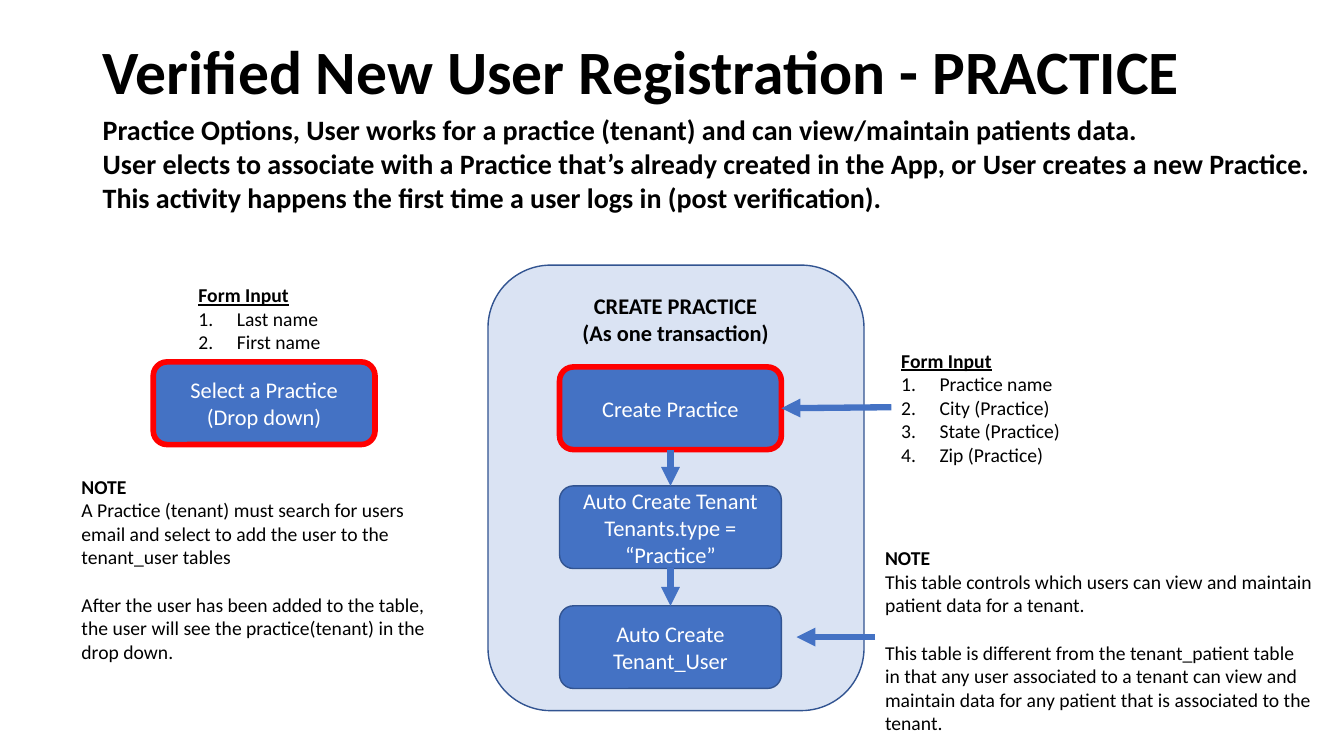
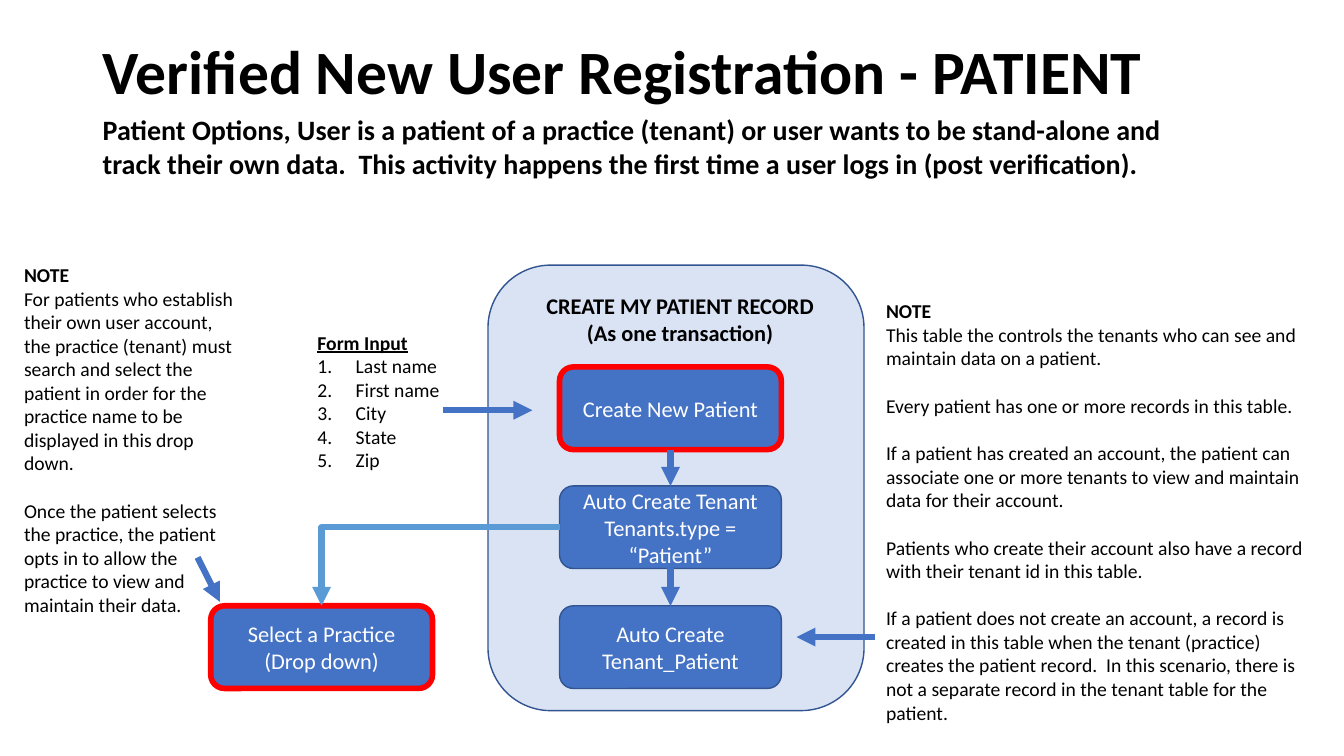
from dataclasses import dataclass

from pptx import Presentation
from pptx.dml.color import RGBColor
from pptx.enum.shapes import MSO_CONNECTOR, MSO_SHAPE
from pptx.enum.text import MSO_ANCHOR, PP_ALIGN
from pptx.oxml.ns import qn
from pptx.util import Emu, Pt
from lxml.etree import SubElement

EMU_PER_PX = 9144
TOP, LEFT, BOTTOM, RIGHT = range(4)
BOX_WIDTH, BOX_HEIGHT = 220, 82
STEP_LEFT, STEP_TOPS = 555, (364, 482, 601)
LIST_INDENT = 38


@dataclass(frozen=True)
class Theme:
    font: str = "Calibri"
    text: RGBColor = RGBColor(0x00, 0x00, 0x00)
    box_text: RGBColor = RGBColor(0xFF, 0xFF, 0xFF)
    box: RGBColor = RGBColor(0x44, 0x72, 0xC4)
    box_line: RGBColor = RGBColor(0x32, 0x54, 0x91)
    highlight: RGBColor = RGBColor(0xFF, 0x00, 0x00)
    panel: RGBColor = RGBColor(0xDA, 0xE3, 0xF3)
    branch: RGBColor = RGBColor(0x5B, 0x9B, 0xD5)
    title_size: int = 44
    subtitle_size: int = 20
    box_size: int = 16
    note_size: int = 14
    note_gap: int = 17
    thin: float = 1
    thick: float = 4
    arrow: float = 4.5


THEME = Theme()


def px(length):
    return Emu(length * EMU_PER_PX)


def write_paragraph(shape, text, size=THEME.note_size, color=THEME.text, bold=False,
                    underline=False, align=PP_ALIGN.LEFT, space_before=0,
                    line_spacing=None, numbered=False):
    """Fill the first paragraph of the shape if it is empty, else add one."""
    frame = shape.text_frame
    paragraph = frame.add_paragraph() if frame.text else frame.paragraphs[0]
    paragraph.alignment = align
    paragraph.space_before = Pt(space_before)
    if line_spacing:
        paragraph.line_spacing = line_spacing
    if numbered:
        properties = paragraph._p.get_or_add_pPr()
        properties.set("marL", str(px(LIST_INDENT)))
        properties.set("indent", str(-px(LIST_INDENT)))
        SubElement(properties, qn("a:buAutoNum"), type="arabicPeriod")
    run = paragraph.add_run()
    run.text = text
    font = run.font
    font.name, font.size, font.bold = THEME.font, Pt(size), bold
    font.underline = underline
    font.color.rgb = color


def add_text_box(slide, left, top, width, height, lines=(), **text_format):
    shape = slide.shapes.add_textbox(px(left), px(top), px(width), px(height))
    shape.text_frame.word_wrap = True
    for line in lines:
        write_paragraph(shape, line, **text_format)
    return shape


def add_heading(slide, title, subtitle_lines, subtitle_width):
    title_box = add_text_box(slide, 92, 1, 1150, 145, [title], size=THEME.title_size,
                             bold=True, line_spacing=0.9)
    title_box.text_frame.vertical_anchor = MSO_ANCHOR.MIDDLE
    add_text_box(slide, 92, 107, subtitle_width, 111, subtitle_lines,
                 size=THEME.subtitle_size, bold=True)


def add_rounded_box(slide, left, top, width, height, fill, line, line_width):
    shape = slide.shapes.add_shape(MSO_SHAPE.ROUNDED_RECTANGLE,
                                   px(left), px(top), px(width), px(height))
    shape.shadow.inherit = False
    shape.fill.solid()
    shape.fill.fore_color.rgb = fill
    shape.line.color.rgb = line
    shape.line.width = Pt(line_width)
    return shape


def add_step(slide, left, top, lines, user_action=False):
    """Add a blue box; a red outline marks what the user does."""
    line = THEME.highlight if user_action else THEME.box_line
    line_width = THEME.thick if user_action else THEME.thin
    box = add_rounded_box(slide, left, top, BOX_WIDTH, BOX_HEIGHT, THEME.box, line, line_width)
    box.text_frame.word_wrap = True
    box.text_frame.vertical_anchor = MSO_ANCHOR.MIDDLE
    for text in lines:
        write_paragraph(box, text, size=THEME.box_size, color=THEME.box_text,
                        align=PP_ALIGN.CENTER)
    return box


def add_arrow(slide, start=(0, 0), end=(0, 0), begin_at=None, end_at=None,
              elbow=False, color=THEME.box):
    """Draw between points, or between (shape, side) pairs where these are given."""
    kind = MSO_CONNECTOR.ELBOW if elbow else MSO_CONNECTOR.STRAIGHT
    connector = slide.shapes.add_connector(kind, *map(px, (*start, *end)))
    if begin_at:
        connector.begin_connect(*begin_at)
    if end_at:
        connector.end_connect(*end_at)
    connector.line.color.rgb = color
    connector.line.width = Pt(THEME.arrow)
    properties = connector._element.spPr
    if elbow:
        properties.find(qn("a:prstGeom")).set("prst", "bentConnector2")
    SubElement(connector.line._get_or_add_ln(), qn("a:tailEnd"), type="triangle")
    SubElement(properties, qn("a:effectLst"))


def add_form_input(slide, left, top, fields):
    height = 34 + 23 * len(fields)
    form = add_text_box(slide, left, top, 185, height, ["Form Input"], bold=True, underline=True)
    for field in fields:
        write_paragraph(form, field, numbered=True)
    return form


def add_note(slide, left, top, width, height, paragraphs):
    note = add_text_box(slide, left, top, width, height, ["NOTE"], bold=True)
    for index, text in enumerate(paragraphs):
        write_paragraph(note, text, space_before=THEME.note_gap if index else 0)


def add_transaction(slide, heading, heading_left, heading_width, steps):
    """Add the panel with its chain of steps and return the step boxes."""
    add_rounded_box(slide, 484, 263, 373, 442, THEME.panel, THEME.box_line, THEME.thin)
    add_text_box(slide, heading_left, 285, heading_width, 64,
                 [heading, "(As one transaction)"], size=THEME.box_size, bold=True,
                 align=PP_ALIGN.CENTER)
    boxes = [add_step(slide, STEP_LEFT, top, lines, user_action=top == STEP_TOPS[0])
             for top, lines in zip(STEP_TOPS, steps)]
    for upper, lower in zip(boxes, boxes[1:]):
        add_arrow(slide, begin_at=(upper, BOTTOM), end_at=(lower, TOP))
    add_arrow(slide, (868, 632), (790, 632))
    return boxes


def add_practice_selection(slide, left, top):
    return add_step(slide, left, top, ["Select a Practice", "(Drop down)"], user_action=True)


def build_practice_slide(slide):
    add_heading(slide, "Verified New User Registration - PRACTICE", [
        "Practice Options, User works for a practice (tenant) and can view/maintain patients data.",
        "User elects to associate with a Practice that’s already created in the App, "
        "or User creates a new Practice.",
        "This activity happens the first time a user logs in (post verification).",
    ], 1221)
    add_practice_selection(slide, 152, 359)
    add_form_input(slide, 187, 276, ["Last name", "First name"])
    create, _, _ = add_transaction(slide, "CREATE PRACTICE", 529, 282, [
        ["Create Practice"],
        ["Auto Create Tenant", "Tenants.type = “Practice”"],
        ["Auto Create Tenant_User"],
    ])
    form = add_form_input(slide, 884, 341, [
        "Practice name", "City (Practice)", "State (Practice)", "Zip (Practice)"])
    add_arrow(slide, begin_at=(form, LEFT), end_at=(create, RIGHT))
    add_note(slide, 71, 466, 373, 199, [
        "A Practice (tenant) must search for users email and select to add the user "
        "to the tenant_user tables",
        "After the user has been added to the table, the user will see the "
        "practice(tenant) in the drop down.",
    ])
    add_note(slide, 868, 537, 444, 199, [
        "This table controls which users can view and maintain patient data for a tenant.",
        "This table is different from the tenant_patient table in that any user associated "
        "to a tenant can view and maintain data for any patient that is associated to the tenant.",
    ])


def build_patient_slide(slide):
    add_heading(slide, "Verified New User Registration - PATIENT", [
        "Patient Options, User is a patient of a practice (tenant) or user wants to be "
        "stand-alone and track their own data.  This activity happens the first time "
        "a user logs in (post verification).",
    ], 1114)
    selection = add_practice_selection(slide, 209, 601)
    add_form_input(slide, 305, 323, ["Last name", "First name", "City", "State", "Zip"])
    _, tenant, _ = add_transaction(slide, "CREATE MY PATIENT RECORD", 519, 311, [
        ["Create New Patient"],
        ["Auto Create Tenant", "Tenants.type = “Patient”"],
        ["Auto Create Tenant_Patient"],
    ])
    add_arrow(slide, (439, 407), (528, 407))
    add_note(slide, 14, 256, 236, 364, [
        "For patients who establish their own user account, the practice (tenant) must search "
        "and select the patient in order for the practice name to be displayed in this drop down.",
        "Once the patient selects the practice, the patient opts in to allow the practice "
        "to view and maintain their data.",
    ])
    add_note(slide, 869, 292, 446, 434, [
        "This table the controls the tenants who can see and maintain data on a patient.",
        "Every patient has one or more records in this table.",
        "If a patient has created an account, the patient can associate one or more tenants "
        "to view and maintain data for their account.",
        "Patients who create their account also have a record with their tenant id in this table.",
        "If a patient does not create an account, a record is created in this table when the "
        "tenant (practice) creates the patient record.  In this scenario, there is not a "
        "separate record in the tenant table for the patient.",
    ])
    add_arrow(slide, begin_at=(tenant, LEFT), end_at=(selection, TOP), elbow=True,
              color=THEME.branch)
    add_arrow(slide, (196, 553), (218, 597))


def main():
    presentation = Presentation()
    presentation.slide_width, presentation.slide_height = px(1333), px(750)
    blank_layout = presentation.slide_layouts[6]
    for build_slide in (build_practice_slide, build_patient_slide):
        build_slide(presentation.slides.add_slide(blank_layout))
    presentation.save("out.pptx")


if __name__ == "__main__":
    main()
